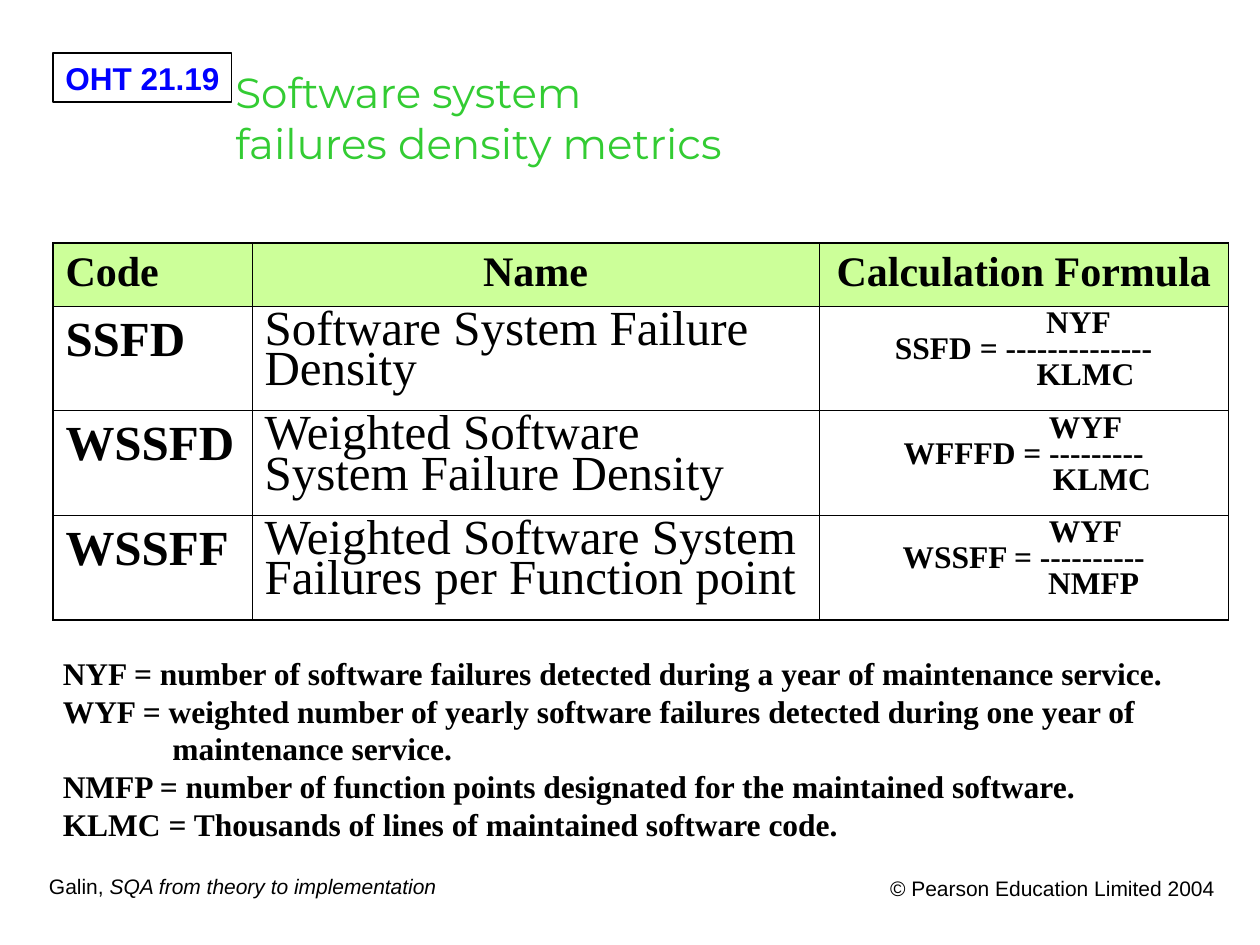
import pptx
import pptx.util
import pptx.dml.color
import pptx.enum.shapes
import pptx.enum.text
import lxml.etree

Inches, Pt = pptx.util.Inches, pptx.util.Pt
ALIGN = pptx.enum.text.PP_ALIGN
THEME = {
    "black": "000000", "label": "0000FF", "title": "33CC33", "header": "CCFF99",
    "sans": "Arial", "display": "Montserrat", "serif": "Times New Roman",
    "footer_size": 12, "body_size": 18, "head_size": 24, "cell_size": 28,
    "outer_line": 1.08, "inner_line": 0.45,
}

SLIDE_LABEL = "OHT 21.19"
TITLE = ["Software system", "failures density metrics"]
HEADERS = ["Code", "Name", "Calculation Formula"]
METRICS = [
    ("SSFD", "Software System Failure Density",
     [("NYF", 0.87), ("SSFD = --------------", 0), ("KLMC", 0.98)]),
    ("WSSFD", "Weighted Software\vSystem Failure Density",
     [("WYF", 0.98), ("WFFFD = ---------", 0), ("KLMC", 1.24)]),
    ("WSSFF", "Weighted Software System Failures per Function point",
     [("WYF", 0.98), ("WSSFF = ----------", 0), ("NMFP", 1.11)]),
]
DEFINITIONS = [
    "NYF = number of software failures detected during a year of maintenance service.",
    "WYF = weighted number of yearly software failures detected during one year of maintenance service.",
    "NMFP = number of function points designated for the maintained software.",
    "KLMC = Thousands of lines of maintained software code.",
]
BOOK = ("Galin, ", "SQA from theory to implementation")
COPYRIGHT = "© Pearson Education Limited 2004"
COLUMN_WIDTHS = [1.58, 4.5, 3.25]
ROW_HEIGHTS = [0.5] + [0.83] * len(METRICS)


def rgb(name):
    return pptx.dml.color.RGBColor.from_string(THEME[name])


def write(frame, lines, font, size, color="black", bold=False, align=ALIGN.LEFT,
          before=None, spacing=None):
    frame.text = "\n".join(lines)
    for paragraph in frame.paragraphs:
        paragraph.alignment = align
        if before:
            paragraph.space_before = Pt(before)
        if spacing:
            paragraph.line_spacing = spacing
        for run in paragraph.runs:
            run.font.name = THEME[font]
            run.font.size = Pt(THEME[size])
            run.font.bold = bold
            run.font.color.rgb = rgb(color)


def indent(paragraph, left, first=0):
    properties = paragraph._p.get_or_add_pPr()
    properties.set("marL", str(Inches(left)))
    properties.set("indent", str(Inches(first)))


def add_text(slide, place, lines, *style, wrap=True, **options):
    frame = slide.shapes.add_textbox(*map(Inches, place)).text_frame
    frame.word_wrap = wrap
    write(frame, lines, *style, **options)
    return frame


def add_borders(cell, outer_sides):
    for side in "LRTB":
        width = THEME["outer_line" if side in outer_sides else "inner_line"]
        tag = pptx.oxml.ns.qn("a:ln" + side)
        line = lxml.etree.SubElement(cell._tc.get_or_add_tcPr(), tag, w=str(Pt(width)))
        solid = lxml.etree.SubElement(line, pptx.oxml.ns.qn("a:solidFill"))
        lxml.etree.SubElement(solid, pptx.oxml.ns.qn("a:srgbClr"), val=THEME["black"])


def add_slide_label(slide):
    label = slide.shapes.add_shape(pptx.enum.shapes.MSO_SHAPE.RECTANGLE,
                                   *map(Inches, (0.42, 0.42, 1.42, 0.39)))
    label.shadow.inherit = False
    label.fill.background()
    label.line.color.rgb = rgb("black")
    label.line.width = Pt(0.75)
    label.text_frame.word_wrap = False
    write(label.text_frame, [SLIDE_LABEL], "sans", "body_size", "label", True, ALIGN.CENTER)


def add_metrics(slide):
    rows, columns = len(ROW_HEIGHTS), len(COLUMN_WIDTHS)
    metrics = slide.shapes.add_table(rows, columns, Inches(0.42), Inches(1.93),
                                     Inches(sum(COLUMN_WIDTHS)), Inches(sum(ROW_HEIGHTS))).table
    metrics.first_row = metrics.horz_banding = False
    for column, width in zip(metrics.columns, COLUMN_WIDTHS):
        column.width = Inches(width)
    for row, height in zip(metrics.rows, ROW_HEIGHTS):
        row.height = Inches(height)
    for r in range(rows):
        for c in range(columns):
            cell = metrics.cell(r, c)
            add_borders(cell, "L" * (c == 0) + "R" * (c == columns - 1)
                        + "T" * (r == 0) + "B" * (r == rows - 1))
            if r == 0:
                cell.fill.solid()
                cell.fill.fore_color.rgb = rgb("header")
            else:
                cell.fill.background()
    for c, header in enumerate(HEADERS):
        write(metrics.cell(0, c).text_frame, [header], "serif", "head_size", bold=True,
              align=ALIGN.CENTER if c else ALIGN.LEFT, before=6)
    for r, (code, name, formula) in enumerate(METRICS, 1):
        write(metrics.cell(r, 0).text_frame, [code], "serif", "cell_size", bold=True, before=7)
        write(metrics.cell(r, 1).text_frame, [name], "serif", "cell_size", before=7, spacing=0.75)
        fraction = metrics.cell(r, 2).text_frame
        write(fraction, [part for part, _ in formula], "serif", "body_size", bold=True,
              align=ALIGN.CENTER, spacing=0.75)
        for paragraph, (_, left) in zip(fraction.paragraphs, formula):
            indent(paragraph, left)


def main():
    """Build the failure density metrics slide."""
    deck = pptx.Presentation()
    deck.slide_width, deck.slide_height = Inches(10), Inches(7.5)
    slide = deck.slides.add_slide(deck.slide_layouts[6])

    add_slide_label(slide)
    book = add_text(slide, (0.29, 6.88, 3.28, 0.3), [BOOK[0]], "sans", "footer_size", wrap=False)
    book_title = book.paragraphs[0].add_run()
    book_title.text = BOOK[1]
    book_title.font.name = THEME["sans"]
    book_title.font.size = Pt(THEME["footer_size"])
    book_title.font.color.rgb = rgb("black")
    book_title.font.italic = True
    add_text(slide, (6.64, 6.9, 3.1, 0.39), [COPYRIGHT], "sans", "footer_size", align=ALIGN.RIGHT)
    add_metrics(slide)
    add_text(slide, (1.77, 0.48, 6.45, 1.23), TITLE, "display", "head_size", "title", wrap=False)
    definitions = add_text(slide, (0.4, 5.14, 9.24, 1.6), DEFINITIONS,
                           "serif", "body_size", bold=True)
    for paragraph in definitions.paragraphs:
        indent(paragraph, 0.87, -0.87)
    deck.save("out.pptx")


if __name__ == "__main__":
    main()
